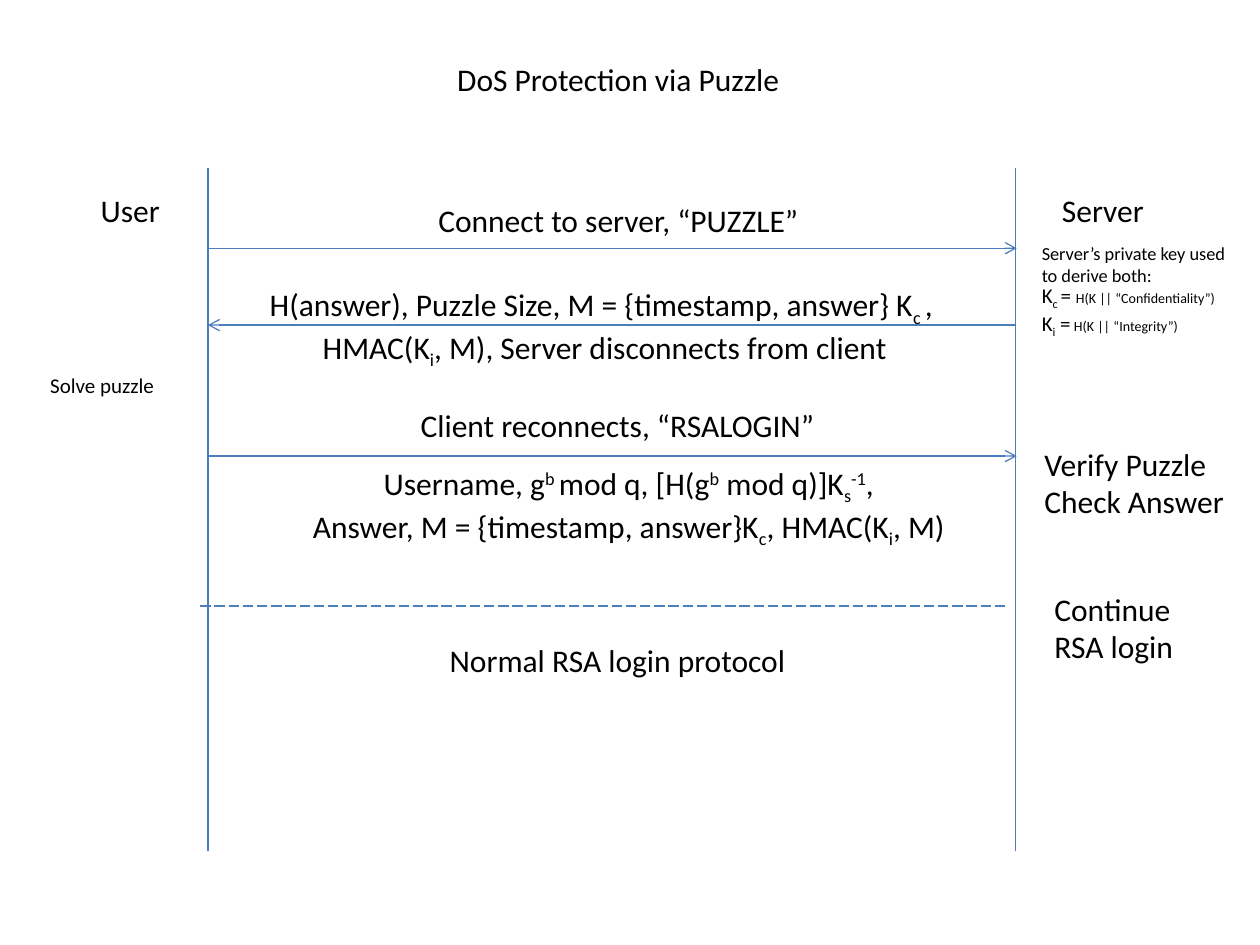
from lxml.etree import SubElement
from pptx import Presentation
from pptx.dml.color import RGBColor
from pptx.enum.dml import MSO_LINE
from pptx.enum.shapes import MSO_CONNECTOR
from pptx.enum.text import MSO_AUTO_SIZE as AUTO, PP_ALIGN as ALIGN
from pptx.oxml.ns import qn
from pptx.util import Inches, Pt

COLORS = {"line": "4B7EBC", "text": "000000"}
FONT = "Calibri"
CELL = Inches(0.1)  # grid of 100 columns by 75 rows
COLS, ROWS = 100, 75
USER_X, SERVER_X = 16.5, 80.6  # columns of the two lifelines
BASELINES = {"sub": "-25000", "sup": "30000"}


def cells(*counts):
    return [round(n * CELL) for n in counts]


def sub(text):
    return text, "sub"


def sup(text):
    return text, "sup"


def small(text):
    return text, "small"


def add_line(slide, x1, y1, x2, y2, arrow=False, dashed=False):
    cx = slide.shapes.add_connector(MSO_CONNECTOR.STRAIGHT, *cells(x1, y1, x2, y2))
    cx.line.color.rgb = RGBColor.from_string(COLORS["line"])
    cx.line.width = Pt(0.75)
    if dashed:
        cx.line.dash_style = MSO_LINE.LONG_DASH
    if arrow:
        SubElement(cx.line._get_or_add_ln(), qn("a:tailEnd"), type="arrow")
    SubElement(cx._element.spPr, qn("a:effectLst"))


def add_text(slide, x, y, w, h, paragraphs, size=18, align=None, wrap=False):
    """Each paragraph is a list of plain strings and (text, kind) pairs."""
    tf = slide.shapes.add_textbox(*cells(x, y, w, h)).text_frame
    tf.word_wrap = wrap
    tf.auto_size = AUTO.SHAPE_TO_FIT_TEXT
    for i, parts in enumerate(paragraphs):
        p = tf.paragraphs[0] if i == 0 else tf.add_paragraph()
        p.alignment = align
        p.font.name, p.font.size = FONT, Pt(size)
        p.font.color.rgb = RGBColor.from_string(COLORS["text"])
        for part in parts:
            text, kind = (part, None) if isinstance(part, str) else part
            r = p.add_run()
            r.text = text
            if kind == "small":
                r.font.size = Pt(8)
            elif kind:
                r._r.get_or_add_rPr().set("baseline", BASELINES[kind])


def add_lifelines(slide):
    for x in (USER_X, SERVER_X):
        add_line(slide, x, 13.3, x, 67.5)
    add_text(slide, 7, 14.7, 6.8, 4, [["User"]])
    add_text(slide, 83.3, 14.7, 8.6, 4, [["Server"]])


def add_messages(slide):
    # Arrows between user and server
    for y in (19.7, 36.2):
        add_line(slide, USER_X + 0.1, y, SERVER_X + 0.1, y, arrow=True)
    add_line(slide, SERVER_X, 25.8, USER_X, 25.8, arrow=True)
    add_line(slide, USER_X - 0.6, 48.1, SERVER_X - 0.6, 48.1, dashed=True)

    # Single-line messages
    add_text(slide, 33.8, 15.5, 30.9, 4, [["Connect to server, “PUZZLE”"]])
    add_text(slide, 32.4, 31.7, 33.6, 4, [["Client reconnects, “RSALOGIN”"]])
    add_text(slide, 34.7, 50.4, 28.9, 4, [["Normal RSA login protocol"]])

    # Messages with formulas
    add_text(slide, 20, 22.1, 56, 7.1, [
        ["H(answer), Puzzle Size, M = {timestamp, answer} K", sub("c "), ", "],
        ["HMAC(K", sub("i"), ", M), Server disconnects from client"],
    ], align=ALIGN.CENTER)
    add_text(slide, 23.2, 36.3, 53.4, 7.1, [
        ["Username, g", sup("b "), "mod q, [H(g", sup("b"), " mod q)]K",
         sub("s"), sup("-1"), ","],
        ["Answer, M = {timestamp, answer}K", sub("c"), ", HMAC(K", sub("i"), ", M)"],
    ], align=ALIGN.CENTER)


def add_side_notes(slide):
    # User side
    add_text(slide, 3, 29.1, 10.3, 3, [["Solve puzzle"]], size=12)
    # Server side
    add_text(slide, 81.7, 18.7, 17.7, 4.5,
             [["Server’s private key used to derive both:"]], size=10.5, wrap=True)
    add_text(slide, 81.7, 21.9, 16.7, 5, [
        ["K", sub("c "), "= ", small("H(K || “Confidentiality”)")],
        ["K", sub("i"), " =", small(" H(K || “Integrity”)")],
    ], size=12, wrap=True)
    add_text(slide, 81.9, 34.8, 16.4, 7.1, [["Verify Puzzle"], ["Check Answer"]],
             wrap=True)
    add_text(slide, 82.7, 46.3, 14.6, 7.1, [["Continue RSA login"]], wrap=True)


def main():
    prs = Presentation()
    prs.slide_width, prs.slide_height = cells(COLS, ROWS)
    slide = prs.slides.add_slide(prs.slide_layouts[6])
    add_text(slide, 35.3, 4.3, 27.9, 4, [["DoS Protection via Puzzle"]])
    add_lifelines(slide)
    add_messages(slide)
    add_side_notes(slide)
    prs.save("out.pptx")


if __name__ == "__main__":
    main()
